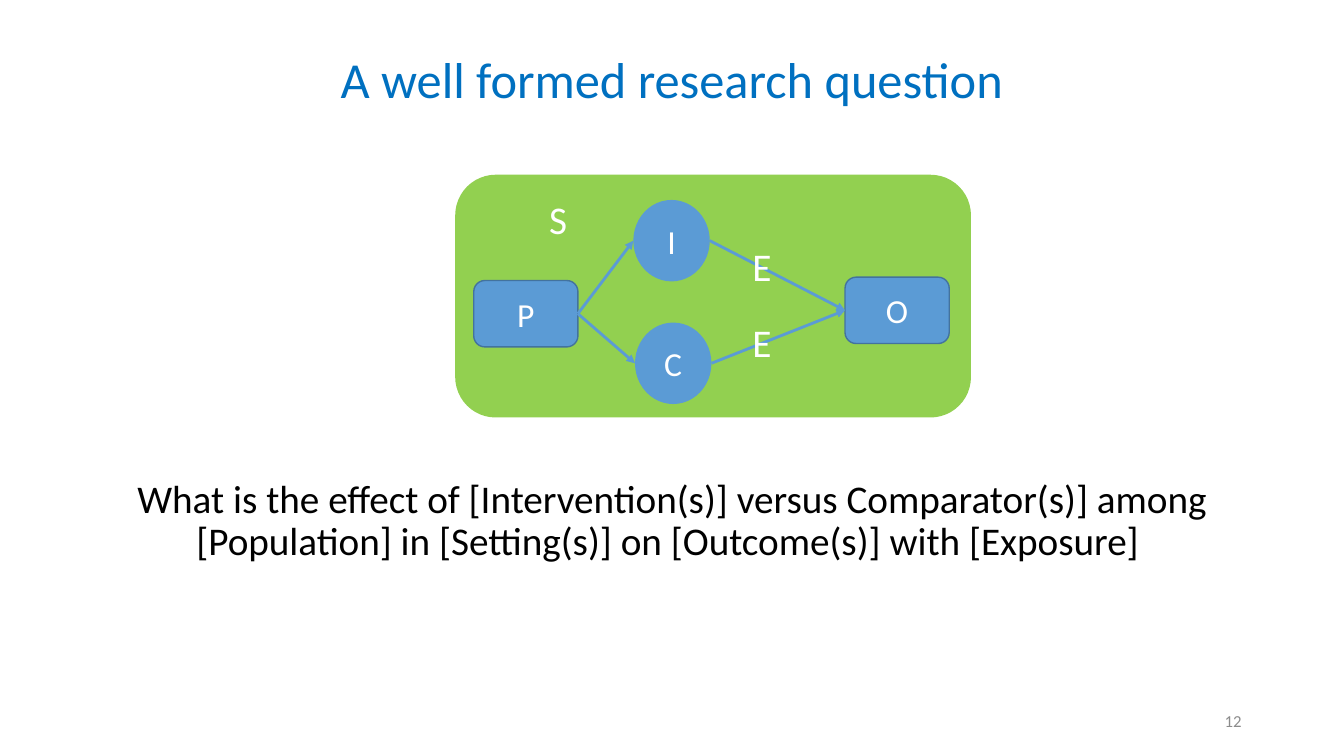
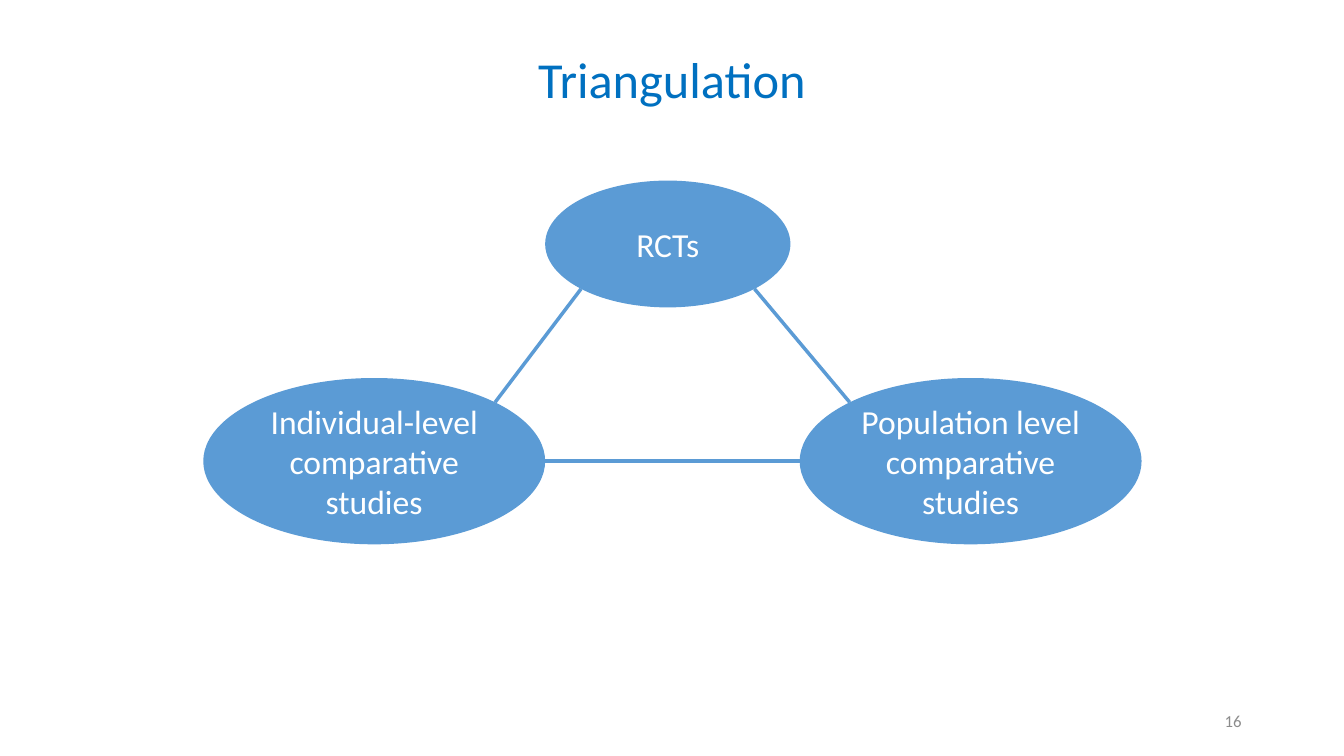
"""Build two slides: a research question diagram and a triangulation diagram."""
import pptx
import pptx.util
import pptx.dml.color
import pptx.enum.shapes
import pptx.enum.text
import pptx.oxml
import pptx.oxml.ns

COLUMNS, ROWS = 160, 90
CELL = pptx.util.Inches(1 / 12)
FONT = "Calibri"
COLOURS = {
    "title": "0070C0", "body": "000000", "number": "8C8C8C", "light": "FFFFFF",
    "setting": "92D050", "node": "5B9BD5", "edge": "43739E",
}
KINDS = pptx.enum.shapes.MSO_SHAPE
ALIGN = pptx.enum.text.PP_ALIGN
ANCHOR = pptx.enum.text.MSO_ANCHOR

TITLE_AREA = (11, 1.1, 138, 17.4)
BODY_AREA = (11, 56.5, 138, 15.8)
NUMBER_AREA = (113, 83.4, 36, 4.8)
SETTING_AREA = (54.2, 20.8, 61.4, 28.9)
CIRCLE, BLOCK, LETTER = (9.1, 9.7), (12.4, 7.9), (5.3, 6.8)
SMALL_OVAL, LARGE_OVAL = (29.2, 15.1), (40.7, 19.8)
DIAGONAL = 0.5 ** 0.5 / 2
SITES = {
    "left": (0, 0.5), "right": (1, 0.5),
    "lower left": (0.5 - DIAGONAL, 0.5 + DIAGONAL),
    "lower right": (0.5 + DIAGONAL, 0.5 + DIAGONAL),
    "upper left": (0.5 - DIAGONAL, 0.5 - DIAGONAL),
    "upper right": (0.5 + DIAGONAL, 0.5 - DIAGONAL),
}

SLIDES = [
    {
        "title": "A well formed research question",
        "number": "12",
        "question": "What is the effect of [Intervention(s)] versus Comparator(s)] among "
                    "[Population] in [Setting(s)] on [Outcome(s)] with [Exposure] ",
        "setting": SETTING_AREA,
        "nodes": [
            ("I", KINDS.OVAL, (75.4, 23.8), CIRCLE),
            ("C", KINDS.OVAL, (75.6, 38.4), CIRCLE),
            ("P", KINDS.ROUNDED_RECTANGLE, (56.4, 33.4), BLOCK),
            ("O", KINDS.ROUNDED_RECTANGLE, (100.6, 33), BLOCK),
        ],
        "links": [
            ("P", "right", "I", "left"), ("P", "right", "C", "left"),
            ("I", "right", "O", "left"), ("C", "right", "O", "left"),
        ],
        "link_width": 2,
        "arrows": True,
        "letters": [("S", (64.2, 22.7)), ("E", (88.4, 28.3)), ("E", (88.4, 37.3))],
    },
    {
        "title": "Triangulation",
        "number": "16",
        "nodes": [
            ("RCTs", KINDS.OVAL, (64.9, 21.5), SMALL_OVAL),
            ("Population level comparative studies", KINDS.OVAL, (95.2, 45), LARGE_OVAL),
            ("Individual-level comparative studies", KINDS.OVAL, (24.2, 45), LARGE_OVAL),
        ],
        "links": [
            ("RCTs", "lower left", "Individual-level comparative studies", "upper right"),
            ("RCTs", "lower right", "Population level comparative studies", "upper left"),
            ("Population level comparative studies", "left",
             "Individual-level comparative studies", "right"),
        ],
        "link_width": 2.5,
        "arrows": False,
    },
]


def colour(name):
    return pptx.dml.color.RGBColor.from_string(COLOURS[name])


def cells(values):
    return [round(value * CELL) for value in values]


def write(shape, text, size, ink, align, anchor=ANCHOR.MIDDLE):
    frame = shape.text_frame
    frame.word_wrap = True
    frame.vertical_anchor = anchor
    para = frame.paragraphs[0]
    para.text = text
    para.alignment = align
    para.font.name = FONT
    para.font.size = pptx.util.Pt(size)
    para.font.color.rgb = colour(ink)
    return para


def add_text(page, area, *style):
    return write(page.shapes.add_textbox(*cells(area)), *style)


def add_shape(page, kind, area, fill):
    shape = page.shapes.add_shape(kind, *cells(area))
    shape.shadow.inherit = False
    shape.fill.solid()
    shape.fill.fore_color.rgb = colour(fill)
    shape.line.fill.background()
    return shape


def add_node(page, text, kind, place, size):
    node = add_shape(page, kind, place + size, "node")
    if kind == KINDS.ROUNDED_RECTANGLE:
        node.line.color.rgb = colour("edge")
        node.line.width = pptx.util.Pt(1)
    write(node, text, 24, "light", ALIGN.CENTER)
    return node


def site_point(node, site):
    across, down = SITES[site]
    return round(node.left + across * node.width), round(node.top + down * node.height)


def add_link(page, start, end, width, arrow):
    link = page.shapes.add_connector(pptx.enum.shapes.MSO_CONNECTOR.STRAIGHT, *start, *end)
    link.line.color.rgb = colour("node")
    link.line.width = pptx.util.Pt(width)
    if arrow:
        head = pptx.oxml.parse_xml(
            f'<a:tailEnd {pptx.oxml.ns.nsdecls("a")} type="triangle"/>')
        link.line._get_or_add_ln().append(head)
    properties = link._element.spPr
    properties.append(pptx.oxml.parse_xml(f'<a:effectLst {pptx.oxml.ns.nsdecls("a")}/>'))


def add_page(deck, content):
    page = deck.slides.add_slide(deck.slide_layouts[6])
    title = add_text(page, TITLE_AREA, content["title"], 36, "title", ALIGN.CENTER)
    title.line_spacing = 0.9
    if "question" in content:
        question = add_text(page, BODY_AREA, content["question"], 28, "body",
                            ALIGN.CENTER, ANCHOR.TOP)
        question.line_spacing = 0.9
        question.space_before = pptx.util.Pt(10)
    add_text(page, NUMBER_AREA, content["number"], 12, "number", ALIGN.RIGHT)
    if "setting" in content:
        add_shape(page, KINDS.ROUNDED_RECTANGLE, content["setting"], "setting")
    nodes = {node[0]: add_node(page, *node) for node in content["nodes"]}
    for start, start_site, end, end_site in content["links"]:
        add_link(page, site_point(nodes[start], start_site), site_point(nodes[end], end_site),
                 content["link_width"], content["arrows"])
    for letter, place in content.get("letters", []):
        add_text(page, place + LETTER, letter, 28, "light", ALIGN.LEFT, ANCHOR.TOP)


deck = pptx.Presentation()
deck.slide_width, deck.slide_height = cells((COLUMNS, ROWS))
for content in SLIDES:
    add_page(deck, content)
deck.save("out.pptx")
